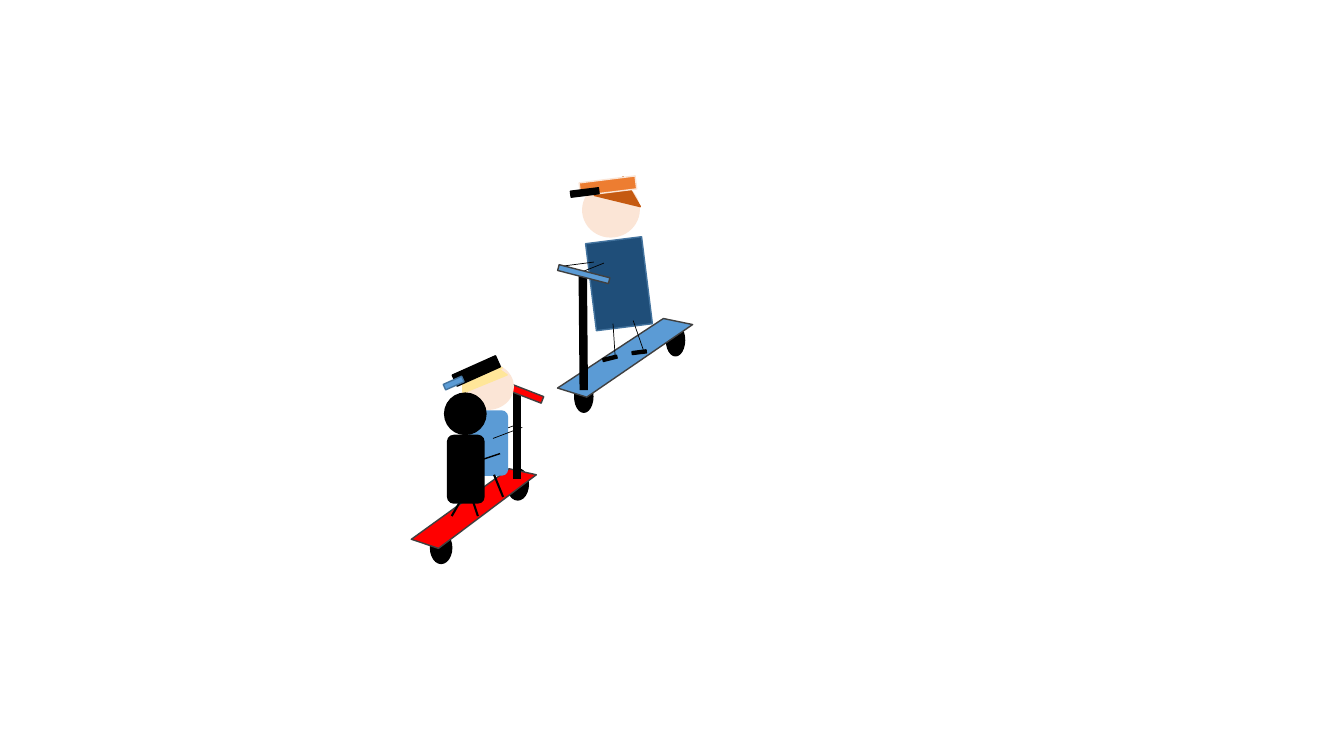
from pptx import Presentation
from pptx.dml.color import RGBColor
from pptx.enum.shapes import MSO_CONNECTOR as LINK, MSO_SHAPE as KIND
from pptx.oxml.ns import qn
from pptx.util import Inches, Pt
from lxml.etree import SubElement

OVAL, RECT, ROUND = KIND.OVAL, KIND.RECTANGLE, KIND.ROUNDED_RECTANGLE
BLACK, BLUE, RED, EDGE = "000000", "5B9BD5", "FF0000", "404040"
SKIN, BLOND, RUST, TRIM = "FBE5D6", "FFE699", "C55A11", "43739E"
NAVY, AMBER = "1F4E79", "ED7D31"


def tint(part, color):
    part.solid()
    part.fore_color.rgb = RGBColor.from_string(color)


class Pen:
    def __init__(self, slide, left, top):
        self.items = slide.shapes.add_group_shape().shapes
        self.left, self.top = left, top

    def spot(self, x, y):
        return Inches(self.left + x), Inches(self.top + y)

    def paint(self, shape, fill, edge):
        shape.shadow.inherit = False
        tint(shape.fill, fill)
        if edge:
            tint(shape.line.fill, edge)
            shape.line.width = Pt(1)
        else:
            shape.line.fill.background()
        return shape

    def form(self, kind, box, fill, edge=BLACK, turn=0):
        x, y, wide, high = box
        shape = self.items.add_shape(kind, *self.spot(x, y), Inches(wide), Inches(high))
        shape.rotation = turn
        return self.paint(shape, fill, edge)

    def area(self, points, fill, edge):
        first, *rest = [self.spot(*point) for point in points]
        path = self.items.build_freeform(*first, scale=1.0)
        path.add_line_segments(rest, close=True)
        return self.paint(path.convert_to_shape(), fill, edge)

    def lines(self, width, *ends):
        for x1, y1, x2, y2 in ends:
            line = self.items.add_connector(
                LINK.STRAIGHT, *self.spot(x1, y1), *self.spot(x2, y2))
            tint(line.line.fill, BLACK)
            line.line.width = Pt(width)
            SubElement(line._element.spPr, qn("a:effectLst"))


def base(pen, wheels, wide, deck, color):
    for x, y in wheels:
        pen.form(OVAL, (x, y, wide, 0.31), BLACK)
    pen.area(deck, color, EDGE)


def solo(slide, left, top):
    pen = Pen(slide, left, top)
    lean = 352.9
    base(pen, [(0.2, 2.03), (1.11, 1.47)], 0.18,
         [(0.03, 2.1), (0.32, 2.19), (1.37, 1.47), (1.08, 1.41)], BLUE)
    pen.form(RECT, (0.36, 0.63, 0.56, 0.87), NAVY, TRIM, lean)
    pen.form(OVAL, (0.28, 0.06, 0.56, 0.54), SKIN, SKIN, lean)
    pen.lines(0.5, (0.78, 1.43, 0.88, 1.72), (0.49, 0.86, 0.29, 0.94))
    hair = pen.form(KIND.ISOSCELES_TRIANGLE, (0.46, 0.07, 0.34, 0.34), RUST, RUST, 147.3)
    hair.adjustments[0] = 0.953
    hair._element.spPr.xfrm.set("flipH", "1")
    pen.form(RECT, (0.25, 0.03, 0.56, 0.13), AMBER, SKIN, lean)
    pen.form(RECT, (0.16, 0.13, 0.28, 0.06), BLACK, turn=lean)
    pen.form(RECT, (0.77, 1.73, 0.14, 0.03), BLACK, turn=lean)
    pen.lines(0.5, (0.39, 0.85, 0.08, 0.89), (0.58, 1.46, 0.6, 1.77))
    pen.form(RECT, (0.48, 1.79, 0.14, 0.03), BLACK, turn=345.9)
    pen.lines(6, (0.29, 2.12, 0.28, 0.96))
    pen.form(RECT, (0.03, 0.94, 0.52, 0.06), BLUE, EDGE, 14.5)


def pair(slide, left, top):
    pen = Pen(slide, left, top)
    base(pen, [(1.03, 1.05), (0.27, 1.68)], 0.21,
         [(0.08, 1.75), (0.35, 1.84), (1.32, 1.11), (1.05, 1.05)], RED)
    pen.lines(6, (1.13, 1.15, 1.13, 0.24))
    pen.form(RECT, (0.83, 0.23, 0.57, 0.07), RED, EDGE, 21.2)
    pen.lines(0.5, (0.86, 0.71, 1.16, 0.6))
    pen.form(ROUND, (0.65, 0.47, 0.39, 0.65), BLUE, None)
    pen.form(OVAL, (0.59, 0.01, 0.5, 0.45), SKIN, SKIN)
    pen.area([(0.98, 0.05), (0.59, 0.3), (0.59, 0.2), (0.62, 0.14), (0.69, 0.05),
              (0.75, 0.03), (0.79, 0.01), (0.88, 0.02), (0.93, 0.03)], BLOND, BLOND)
    pen.form(RECT, (0.49, 0.02, 0.47, 0.12), BLACK, turn=335.9)
    pen.form(RECT, (0.4, 0.17, 0.2, 0.06), BLUE, TRIM, 336)
    pen.area([(1.03, 0.12), (0.59, 0.3), (0.96, 0.07)], BLOND, BLOND)
    pen.lines(0.5, (0.89, 0.75, 1.18, 0.64))
    pen.lines(1.5, (0.99, 1.33, 0.9, 1.11))
    pen.form(OVAL, (0.41, 0.3, 0.41, 0.41), BLACK)
    pen.form(ROUND, (0.44, 0.72, 0.36, 0.67), BLACK)
    pen.lines(1, (0.69, 0.99, 0.96, 0.9))
    pen.lines(1.5, (0.59, 1.33, 0.48, 1.52), (0.69, 1.37, 0.74, 1.52))


deck = Presentation()
deck.slide_width, deck.slide_height = Inches(13.33), Inches(7.5)
slide = deck.slides.add_slide(deck.slide_layouts[6])
tint(slide.background.fill, "FFFFFF")
solo(slide, 5.5, 1.75)
pair(slide, 4, 3.6)
deck.save("out.pptx")
